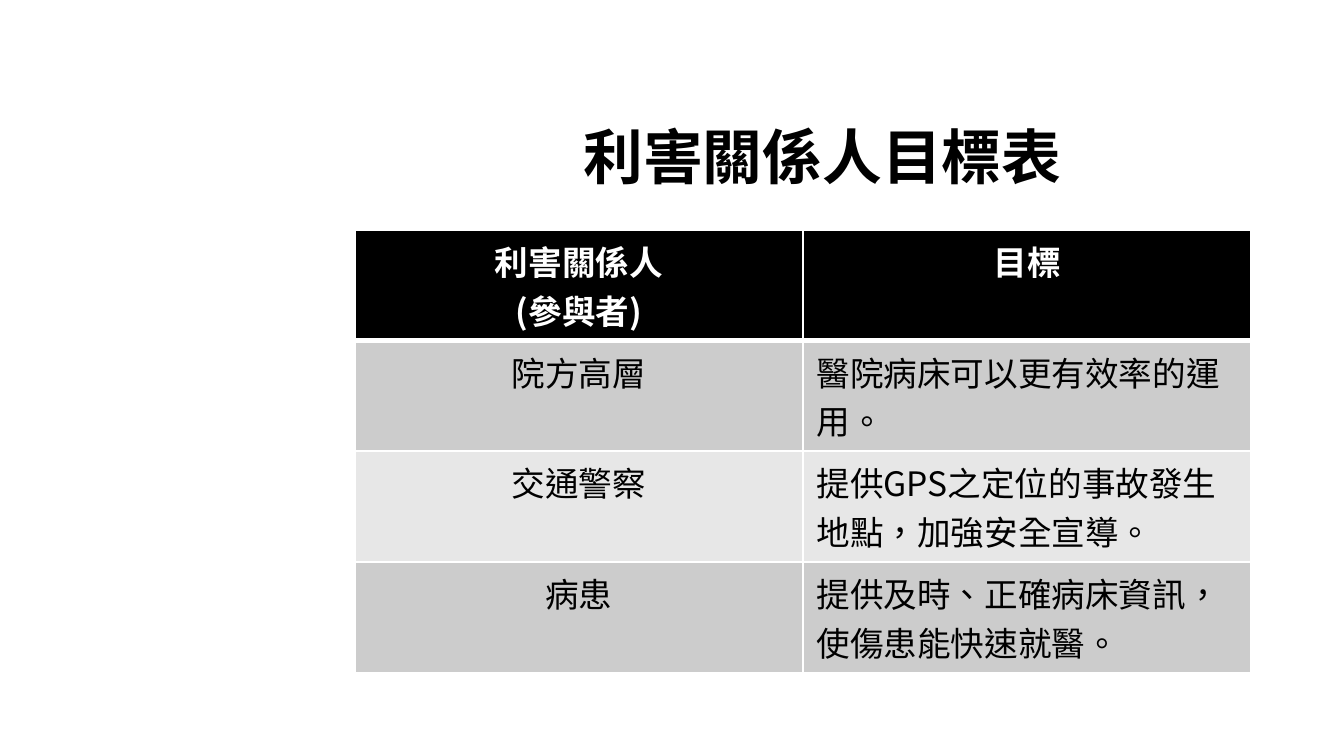
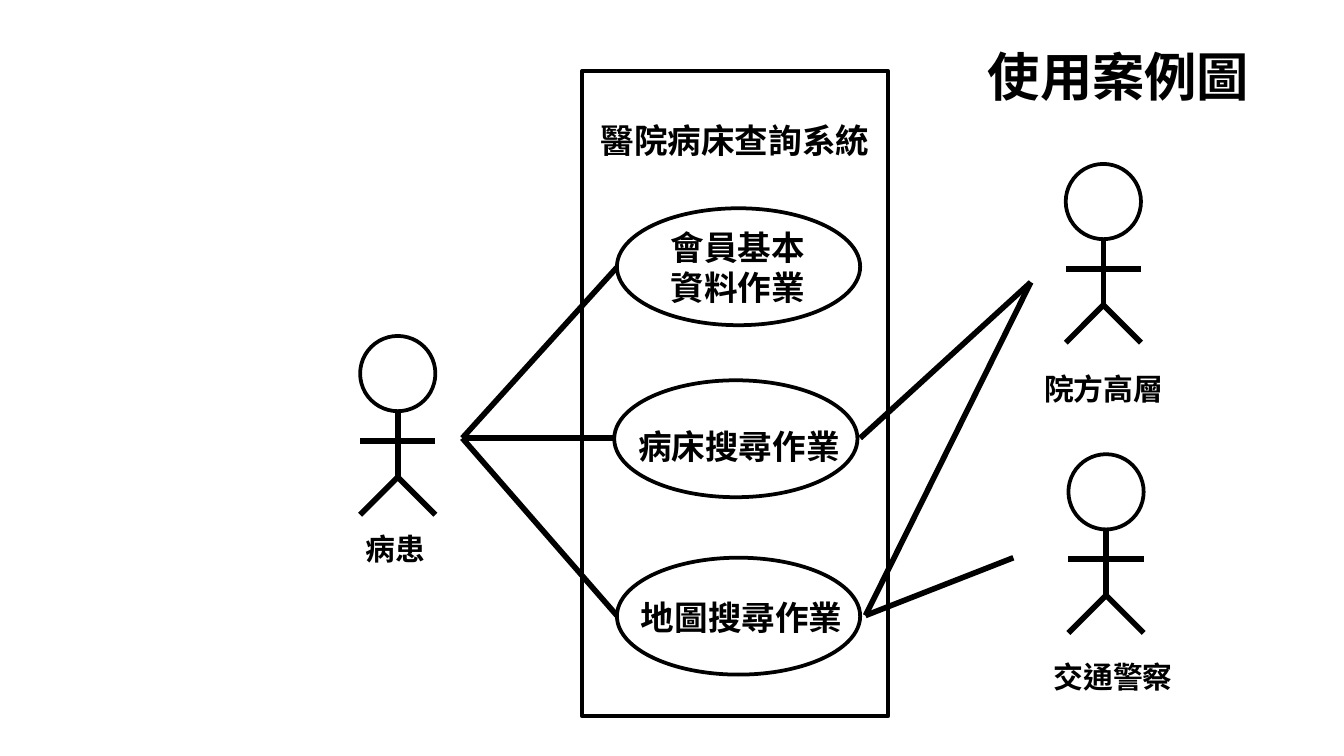
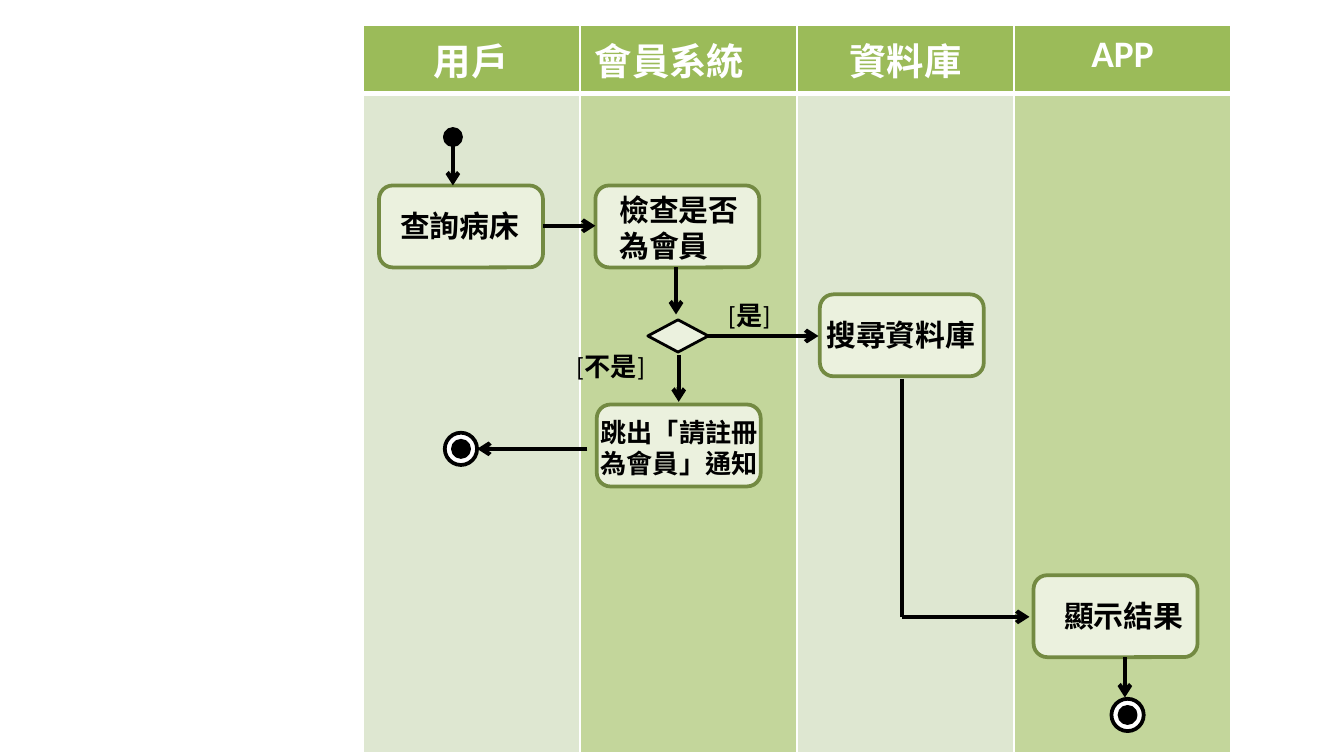
import pptx
import pptx.dml.color
import pptx.enum.shapes
import pptx.enum.text
import pptx.oxml.ns
import pptx.util

Inches = pptx.util.Inches
Pt = pptx.util.Pt
SHAPE = pptx.enum.shapes.MSO_SHAPE
ALIGN = pptx.enum.text.PP_ALIGN
qn = pptx.oxml.ns.qn

COLORS = {
    "ink": "000000", "paper": "FFFFFF",
    "gray_dark": "CCCCCC", "gray_light": "E7E7E7",
    "lane_head": "9BBB59", "lane_pale": "DEE7D1", "lane_green": "C3D69B",
    "activity": "EBF1DE", "activity_edge": "738A42",
}
CJK = "Noto Sans CJK SC"
LATIN = "Calibri"


def color(name):
    """Return the named palette colour."""
    return pptx.dml.color.RGBColor.from_string(COLORS[name])


def inches(values):
    """Convert numbers to lengths."""
    return [Inches(value) for value in values]


def style_run(run, size, bold=True, ink="ink", face=CJK):
    """Format one run, including its language and East Asian face."""
    run.font.size = Pt(size)
    run.font.bold = bold
    run.font.name = face
    run.font.color.rgb = color(ink)
    properties = run.font._element
    properties.set("lang", "zh-TW")
    if face == CJK:
        east_asian = properties.makeelement(qn("a:ea"), {"typeface": face})
        properties.find(qn("a:latin")).addnext(east_asian)


def write(frame, text, size, align=ALIGN.LEFT, **style):
    """Fill a text frame and format its runs."""
    frame.text = text
    for paragraph in frame.paragraphs:
        paragraph.alignment = align
        for run in paragraph.runs:
            style_run(run, size, **style)


def add_label(shapes, box, text, size):
    """Add a wrapping bold label."""
    frame = shapes.add_textbox(*inches(box)).text_frame
    frame.word_wrap = True
    write(frame, text, size)


def add_guard(shapes, box, condition):
    """Add a branch condition in plain brackets."""
    frame = shapes.add_textbox(*inches(box)).text_frame
    frame.word_wrap = True
    for text, bold, face in (("[", False, LATIN), (condition, True, CJK), ("]", False, LATIN)):
        run = frame.paragraphs[0].add_run()
        run.text = text
        style_run(run, 14, bold=bold, face=face)


def add_outline(shapes, kind, box, fill="paper", edge="ink", weight=2):
    """Add a filled preset shape without shadow."""
    outline = shapes.add_shape(kind, *inches(box))
    outline.shadow.inherit = False
    outline.fill.solid()
    outline.fill.fore_color.rgb = color(fill)
    outline.line.color.rgb = color(edge)
    outline.line.width = Pt(weight)


def add_line(shapes, start, end, weight=3.0, arrow=False):
    """Draw a straight line, with an arrowhead at its end if asked."""
    line = shapes.add_connector(
        pptx.enum.shapes.MSO_CONNECTOR.STRAIGHT, *inches((*start, *end)))
    line.line.color.rgb = color("ink")
    line.line.width = Pt(weight)
    properties = line._element.spPr
    if arrow:
        stroke = properties.find(qn("a:ln"))
        stroke.append(stroke.makeelement(qn("a:tailEnd"), {"type": "arrow"}))
    properties.append(properties.makeelement(qn("a:effectLst"), {}))


def add_title(slide, box, text, size):
    """Place and format the slide title."""
    title = slide.shapes.title
    title.left, title.top, title.width, title.height = inches(box)
    frame = title.text_frame
    frame.word_wrap = True
    frame.auto_size = pptx.enum.text.MSO_AUTO_SIZE.NONE
    frame.vertical_anchor = pptx.enum.text.MSO_ANCHOR.TOP
    write(frame, text, size)


def style_cell(cell, fill, row):
    """Give a cell its fill and white borders, thick below the header."""
    thick = {0: "a:lnB", 1: "a:lnT"}.get(row)
    properties = cell._tc.get_or_add_tcPr()
    for side in ("a:lnL", "a:lnR", "a:lnT", "a:lnB"):
        width = Pt(3 if side == thick else 1)
        border = properties.makeelement(qn(side), {"w": str(int(width))})
        solid = border.makeelement(qn("a:solidFill"), {})
        solid.append(solid.makeelement(qn("a:srgbClr"), {"val": COLORS["paper"]}))
        border.append(solid)
        properties.append(border)
    cell.fill.solid()
    cell.fill.fore_color.rgb = color(fill)


def add_goal_table(slide, box):
    """Build the table of stakeholders and goals."""
    goals = (
        ("利害關係人\n(參與者)", "目標"),
        ("院方高層", "醫院病床可以更有效率的運用。"),
        ("交通警察", "提供GPS之定位的事故發生地點，加強安全宣導。"),
        ("病患", "提供及時、正確病床資訊，使傷患能快速就醫。"),
    )
    table = slide.shapes.add_table(len(goals), 2, *inches(box)).table
    for row, texts in enumerate(goals):
        header = row == 0
        fill = "ink" if header else ("gray_light", "gray_dark")[row % 2]
        for column, text in enumerate(texts):
            cell = table.cell(row, column)
            style_cell(cell, fill, row)
            write(cell.text_frame, text, 18,
                  ALIGN.CENTER if header or column == 0 else ALIGN.LEFT,
                  bold=header, ink="paper" if header else "ink")


def add_actor(slide, left, top, name, name_box):
    """Draw a stick figure and its name, placed from the head's corner."""
    figure = slide.shapes.add_group_shape().shapes
    head = 0.56
    right, middle = left + head, left + head / 2
    hip = (middle, top + 1.05)
    add_outline(figure, SHAPE.OVAL, (left, top, head, head))
    add_line(figure, (middle, top + head), hip)
    for foot in (left, right):
        add_line(figure, hip, (foot, top + 1.33))
    add_line(figure, (left, top + 0.78), (right, top + 0.78))
    dx, dy, width = name_box
    add_label(figure, (left + dx, top + dy, width, 0.37), name, 16)


def add_system(slide, left, top, width, height):
    """Draw the system boundary with its use cases."""
    shapes = slide.shapes
    add_outline(shapes, SHAPE.RECTANGLE, (left, top, width, height))
    add_label(shapes, (left + 0.04, top + 0.31, 2.22, 0.4), "醫院病床查詢系統", 18)
    use_cases = (
        ("會員基本\n資料作業", 0.26, 1.02, 0.3, 0.09, 1.34),
        ("病床搜尋作業", 0.24, 2.3, 0.08, 0.29, 2.11),
        ("地圖搜尋作業", 0.26, 3.62, 0.08, 0.24, 2.44),
    )
    for text, x, y, dx, dy, text_width in use_cases:
        add_outline(shapes, SHAPE.OVAL, (left + x, top + y, 1.81, 0.87))
        add_label(shapes, (left + x + dx, top + y + dy, text_width, 0.71), text, 18)


def add_associations(slide):
    """Join the actors to their use cases."""
    patient, director, police = (3.44, 3.26), (7.67, 2.1), (7.54, 4.15)
    map_search = (6.44, 4.58)
    for use_case in ((4.59, 1.99), (4.57, 3.26), (4.59, 4.58)):
        add_line(slide.shapes, patient, use_case)
    add_line(slide.shapes, (6.4, 3.26), director)
    for actor in (director, police):
        add_line(slide.shapes, map_search, actor)


def add_swimlanes(slide, box):
    """Build the four lanes and their headings."""
    table = slide.shapes.add_table(2, 4, *inches(box)).table
    head_height = 0.49
    table.rows[0].height = Inches(head_height)
    table.rows[1].height = Inches(box[3] - head_height)
    for column, lane in enumerate(("用戶", "會員系統", "資料庫", "APP")):
        heading, body = table.cell(0, column), table.cell(1, column)
        style_cell(heading, "lane_head", 0)
        style_cell(body, ("lane_pale", "lane_green")[column % 2], 1)
        heading.margin_left = heading.margin_right = Inches(0.11)
        write(heading.text_frame, lane, 20,
              ALIGN.LEFT if lane == "會員系統" else ALIGN.CENTER,
              ink="paper", face=LATIN)


def add_activity(slide, left, top, text, text_box, size=16):
    """Draw an activity with its text placed from the activity's corner."""
    add_outline(slide.shapes, SHAPE.FLOWCHART_ALTERNATE_PROCESS,
                (left, top, 1.22, 0.61), "activity", "activity_edge")
    dx, dy, width, height = text_box
    add_label(slide.shapes, (left + dx, top + dy, width, height), text, size)


def add_dot(slide, left, top):
    """Draw a solid node."""
    add_outline(slide.shapes, SHAPE.FLOWCHART_CONNECTOR, (left, top, 0.12, 0.12), "ink")


def add_end_node(slide, left, top):
    """Draw a ringed end node."""
    add_outline(slide.shapes, SHAPE.FLOWCHART_CONNECTOR, (left, top, 0.24, 0.24))
    add_dot(slide, left + 0.06, top + 0.06)


def add_flow(slide):
    """Draw the activities, the decision and the flow between them."""
    shapes = slide.shapes
    add_dot(slide, 3.31, 0.96)
    for activity in (
        (2.82, 1.38, "查詢病床", (0.06, 0.12, 1.97, 0.37)),
        (4.43, 1.38, "檢查是否為會員", (0.08, 0, 1.22, 0.64)),
        (4.44, 3.01, "跳出「請註冊為會員」通知", (-0.07, 0.04, 1.5, 0.57), 14),
        (6.1, 2.19, "搜尋資料庫", (-0.05, 0.12, 1.5, 0.37)),
        (7.69, 4.28, "顯示結果", (0.13, 0.12, 1.97, 0.37)),
    ):
        add_activity(slide, *activity)
    add_outline(shapes, SHAPE.FLOWCHART_DECISION, (4.82, 2.38, 0.45, 0.24),
                "activity", weight=1.5)
    add_guard(shapes, (5.32, 2.18, 0.86, 0.34), "是")
    add_guard(shapes, (4.19, 2.56, 0.86, 0.34), "不是")
    for left, top in ((3.31, 3.22), (8.27, 5.2)):
        add_end_node(slide, left, top)
    corner = (6.71, 4.59)
    add_line(shapes, (6.71, 2.82), corner, 2.25)
    for start, end in (
        ((3.37, 1.08), (3.37, 1.38)),
        ((4.04, 1.68), (4.43, 1.68)),
        ((5.03, 1.99), (5.03, 2.34)),
        ((5.05, 2.64), (5.05, 2.99)),
        ((5.27, 2.5), (6.09, 2.5)),
        ((4.37, 3.34), (3.55, 3.34)),
        (corner, (7.66, 4.59)),
        ((8.37, 4.89), (8.37, 5.19)),
    ):
        add_line(shapes, start, end, 2.25, arrow=True)


def build_goals(slide):
    """Build the stakeholder goals slide."""
    add_title(slide, (4.24, 0.84, 3.79, 0.64), "利害關係人目標表", 32)
    add_goal_table(slide, (2.64, 1.71, 6.67, 2.8))


def build_use_cases(slide):
    """Build the use case diagram slide."""
    add_title(slide, (7.25, 0.28, 2.24, 0.57), "使用案例圖", 28)
    add_system(slide, 4.33, 0.53, 2.28, 4.8)
    add_actor(slide, 2.68, 2.5, "病患", (-0.06, 1.4, 0.87))
    add_actor(slide, 7.93, 1.22, "院方高層", (-0.26, 1.49, 1.42))
    add_actor(slide, 7.95, 3.38, "交通警察", (-0.21, 1.47, 1.18))
    add_associations(slide)


def build_activity_diagram(slide):
    """Build the swimlane activity slide."""
    add_swimlanes(slide, (2.7, 0.19, 6.46, 5.4))
    add_flow(slide)


def main():
    """Build and save the widescreen presentation."""
    deck = pptx.Presentation()
    deck.slide_width = Inches(10)
    deck.slide_height = deck.slide_width * 9 // 16
    title_only, blank = deck.slide_layouts[5], deck.slide_layouts[6]
    for build, layout in ((build_goals, title_only), (build_use_cases, title_only),
                          (build_activity_diagram, blank)):
        build(deck.slides.add_slide(layout))
    deck.save("out.pptx")


if __name__ == "__main__":
    main()
